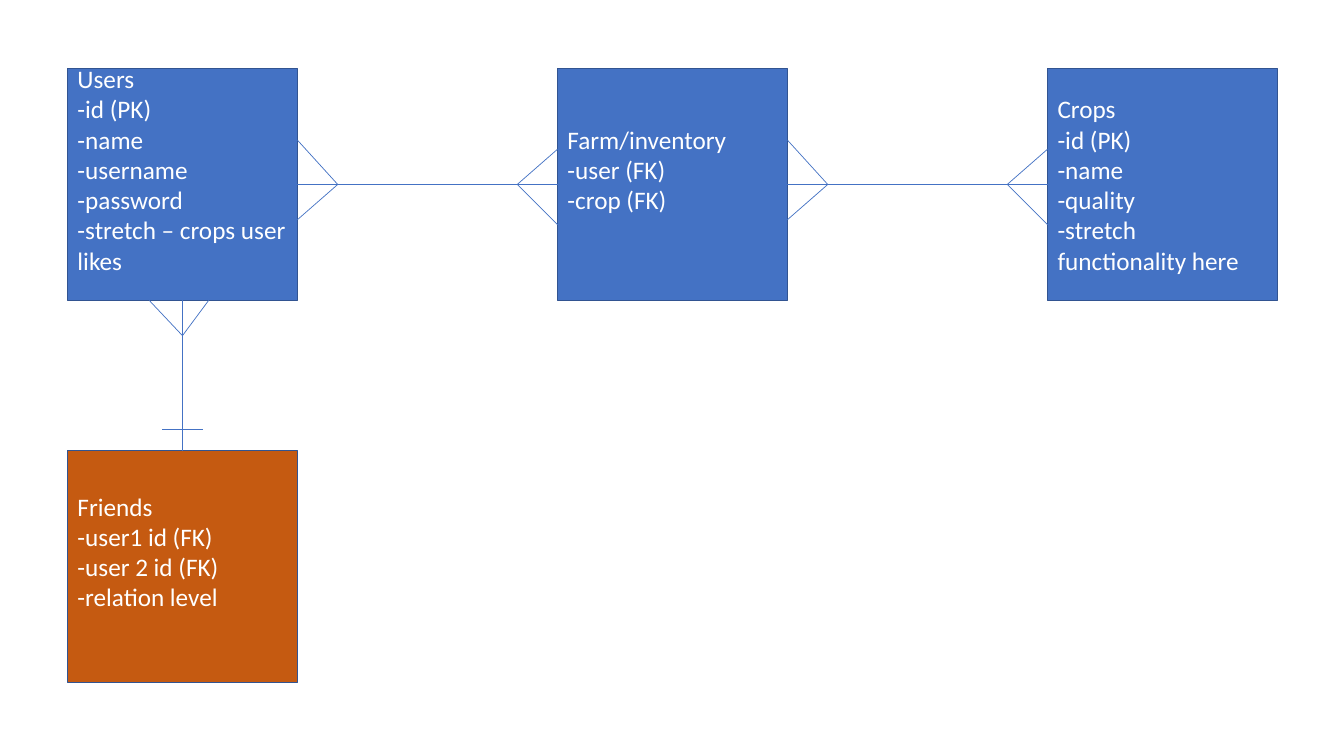
import pptx
import pptx.dml.color
import pptx.enum.shapes
import pptx.enum.text
import pptx.oxml
import pptx.oxml.ns
import pptx.util
from pptx.util import Inches

COLORS = {"blue": "4472C4", "orange": "C55A11", "border": "325491", "text": "FFFFFF"}
BOX_WIDTH, BOX_HEIGHT = 2.28, 2.3
COLUMNS = [0.67 + 4.86 * index for index in range(3)]
TOP_ROW, BOTTOM_ROW = 0.68, 4.47
FOOT_LENGTH = 0.4
LINE_HEIGHT = 0.3


def rgb(name):
    return pptx.dml.color.RGBColor.from_string(COLORS[name])


def add_entity(slide, left, top, fill, lines, raised=True):
    """Draw a table box; raised text sits half a line above the middle."""
    shape = slide.shapes.add_shape(
        pptx.enum.shapes.MSO_SHAPE.RECTANGLE,
        Inches(left), Inches(top), Inches(BOX_WIDTH), Inches(BOX_HEIGHT))
    shape.shadow.inherit = False
    shape.fill.solid()
    shape.fill.fore_color.rgb = rgb(fill)
    shape.line.color.rgb = rgb("border")
    shape.line.width = pptx.util.Pt(1)

    frame = shape.text_frame
    frame.word_wrap = True
    frame.vertical_anchor = pptx.enum.text.MSO_ANCHOR.MIDDLE
    frame.margin_bottom = Inches(0.05 + (LINE_HEIGHT if raised else 0))
    frame.text = "\n".join(lines)
    for paragraph in frame.paragraphs:
        paragraph.alignment = pptx.enum.text.PP_ALIGN.LEFT
        paragraph.font.name = "Calibri"
        paragraph.font.size = pptx.util.Pt(18)
        paragraph.font.color.rgb = rgb("text")


def add_line(slide, start, end):
    connector = slide.shapes.add_connector(
        pptx.enum.shapes.MSO_CONNECTOR.STRAIGHT,
        *(Inches(value) for value in (*start, *end)))
    connector.line.color.rgb = rgb("blue")
    connector.line.width = pptx.util.Pt(0.5)
    properties = connector._element.spPr
    properties.append(pptx.oxml.parse_xml(
        f'<a:effectLst {pptx.oxml.ns.nsdecls("a")}/>'))


def add_crows_foot(slide, tip, toes):
    for toe in toes:
        add_line(slide, tip, toe)


def add_many_to_many(slide, left_box, right_box):
    """Link two boxes of the top row with a crow's foot at each end."""
    start, end = left_box + BOX_WIDTH, right_box
    middle = TOP_ROW + BOX_HEIGHT / 2
    add_line(slide, (start, middle), (end, middle))
    add_crows_foot(slide, (start + FOOT_LENGTH, middle),
                   [(start, middle - 0.44), (start, middle + 0.35)])
    add_crows_foot(slide, (end - FOOT_LENGTH, middle),
                   [(end, middle - 0.35), (end, middle + 0.4)])


def add_many_to_one(slide, left):
    """Link a top box to the one below: crow's foot above, bar below."""
    center = left + BOX_WIDTH / 2
    start = TOP_ROW + BOX_HEIGHT
    add_line(slide, (center, start), (center, BOTTOM_ROW))
    add_crows_foot(slide, (center, start + 0.35),
                   [(center - 0.33, start), (center + 0.26, start)])
    bar = BOTTOM_ROW - 0.21
    add_line(slide, (center - 0.2, bar), (center + 0.2, bar))


def main():
    presentation = pptx.Presentation()
    presentation.slide_width = Inches(13.33)
    presentation.slide_height = Inches(7.5)
    slide = presentation.slides.add_slide(presentation.slide_layouts[6])
    users, farm, crops = COLUMNS

    # Entities
    add_entity(slide, users, TOP_ROW, "blue",
               ["Users", "-id (PK)", "-name", "-username", "-password",
                "-stretch – crops user likes"])
    add_entity(slide, farm, TOP_ROW, "blue",
               ["Farm/inventory", "-user (FK)", "-crop (FK)"])
    add_entity(slide, crops, TOP_ROW, "blue",
               ["Crops", "-id (PK)", "-name", "-quality",
                "-stretch functionality here"], raised=False)
    add_entity(slide, users, BOTTOM_ROW, "orange",
               ["Friends", "-user1 id (FK)", "-user 2 id (FK)", "-relation level"])

    # Relationships
    add_many_to_many(slide, users, farm)
    add_many_to_many(slide, farm, crops)
    add_many_to_one(slide, users)

    presentation.save("out.pptx")


main()
